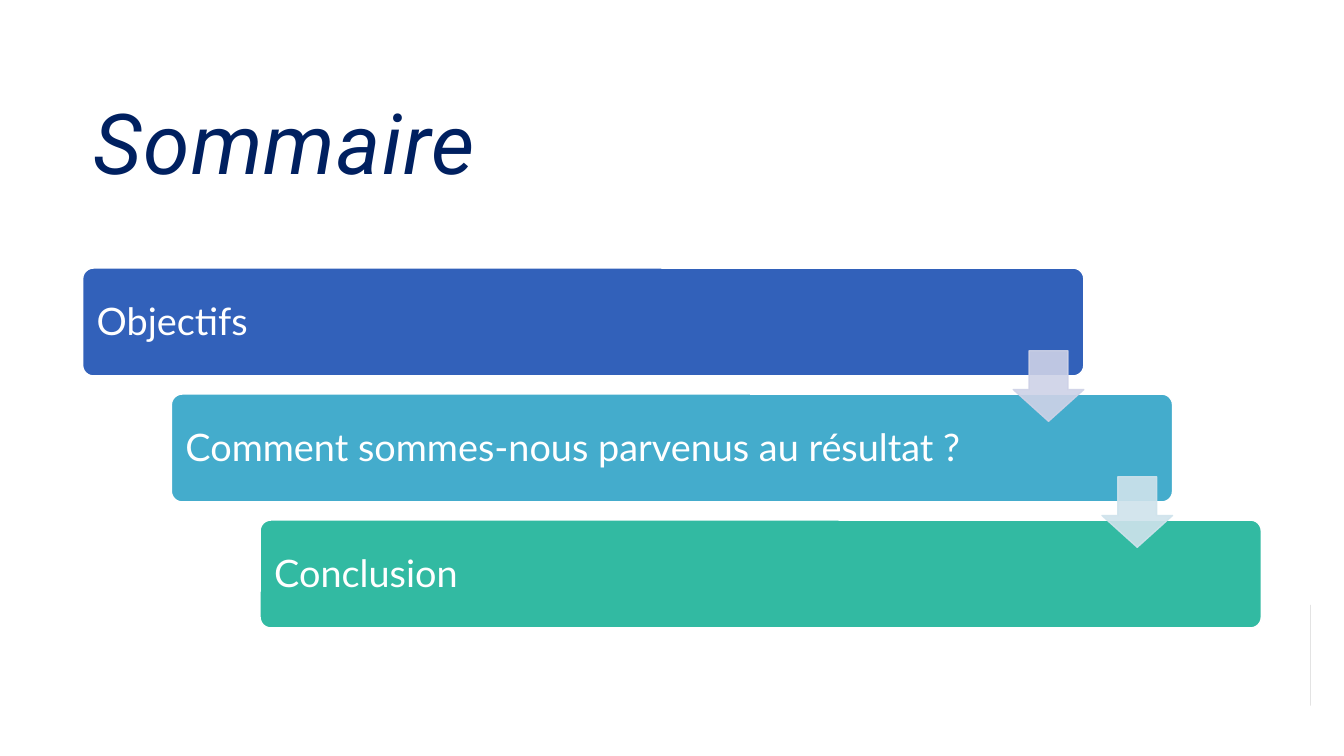
from math import cos, pi, sin

from lxml import etree
from pptx import Presentation
from pptx.dml.color import RGBColor
from pptx.enum.shapes import MSO_SHAPE
from pptx.enum.text import MSO_ANCHOR
from pptx.oxml.ns import qn
from pptx.util import Inches, Pt

ROUND = MSO_SHAPE.ROUNDED_RECTANGLE
DOWN = MSO_SHAPE.DOWN_ARROW
MIDDLE = MSO_ANCHOR.MIDDLE
BOTTOM = MSO_ANCHOR.BOTTOM

WIDTH, HEIGHT = 13.33, 7.5
BARS = [
    ("Objectifs", "3261BA", 8.77),
    ("Comment sommes-nous parvenus au résultat ?", "44ACCC", 8.29),
    ("Conclusion", "32BAA2", 8.29),
]
ARROWS = ["CED2E7", "CFE3EC"]
LEFT, TOP = 0.82, 2.66
STEP_X, STEP_Y = 0.88, 1.25


def color(value):
    """Turn a hex string into a colour."""
    return RGBColor.from_string(value)


def paint(fill, value, alpha=None):
    """Fill with a solid colour, with an opacity in percent if given."""
    fill.solid()
    fill.fore_color.rgb = color(value)
    if alpha:
        for tone in fill._xPr.iter(qn("a:srgbClr")):
            etree.SubElement(tone, qn("a:alpha")).set("val", str(alpha * 1000))


def add_text(slide, text, box, *, size, font, tint, anchor=MIDDLE,
             inset=(0.11, 0.11), italic=False, track=0):
    """Add a text box with one formatted line."""
    frame = slide.shapes.add_textbox(*map(Inches, box)).text_frame
    frame.word_wrap = True
    frame.vertical_anchor = anchor
    frame.margin_left = frame.margin_right = Inches(inset[0])
    frame.margin_top = frame.margin_bottom = Inches(inset[1])
    para = frame.paragraphs[0]
    para.line_spacing = 0.9
    run = para.add_run()
    run.text = text
    run.font.size = Pt(size)
    run.font.name = font
    run.font.italic = italic
    run.font.color.rgb = color(tint)
    if track:
        run.font._element.set("spc", str(track * 100))


def add_form(slide, kind, box, tint, edge, adjust, alpha=None):
    """Add a filled preset shape with a thin outline."""
    form = slide.shapes.add_shape(kind, *map(Inches, box))
    form.shadow.inherit = False
    for place, value in enumerate(adjust):
        form.adjustments[place] = value
    paint(form.fill, tint, alpha)
    paint(form.line.fill, edge, alpha)
    form.line.width = Pt(1)


def add_bar(slide, row, text, tint, width):
    """Add one step of the staircase with its label."""
    left, top = LEFT + row * STEP_X, TOP + row * STEP_Y
    add_form(slide, ROUND, (left, top, 9.93, 1.07), tint, "FFFFFF", [0.1])
    add_text(slide, text, (left + 0.03, top + 0.04, width, 1.01),
             size=27, font="Lato", tint="FFFFFF")


def add_arrow(slide, row, tint):
    """Add the arrow that leads from one step to the next."""
    box = (LEFT + 9.23 + row * STEP_X, TOP + 0.82 + row * STEP_Y, 0.7, 0.7)
    add_form(slide, DOWN, box, tint, tint, [0.55, 0.45], 90)


def add_disc(slide, radius, level, tint):
    """Add a half disc against the right edge of the slide."""
    turns = [pi * step / 48 for step in range(49)]
    points = [(WIDTH - radius * sin(turn), level - radius * cos(turn))
              for turn in turns]
    build = slide.shapes.build_freeform(*points[0], scale=Inches(1))
    build.add_line_segments(points[1:], close=True)
    disc = build.convert_to_shape()
    disc.shadow.inherit = False
    paint(disc.fill, tint)
    disc.line.fill.background()


def main():
    """Build the summary slide."""
    deck = Presentation()
    deck.slide_width, deck.slide_height = Inches(WIDTH), Inches(HEIGHT)
    slide = deck.slides.add_slide(deck.slide_layouts[6])
    paint(slide.background.fill, "FFFFFF")
    add_text(slide, "Sommaire", (0.83, 0.46, 11.67, 1.5), size=60,
             font="Roboto", tint="002060", anchor=BOTTOM,
             inset=(0.1, 0.05), italic=True, track=1)
    add_disc(slide, 0.45, 6.77, "262626")
    for row, bar in enumerate(BARS):
        add_bar(slide, row, *bar)
    for row, tint in enumerate(ARROWS):
        add_arrow(slide, row, tint)
    deck.save("out.pptx")


if __name__ == "__main__":
    main()
